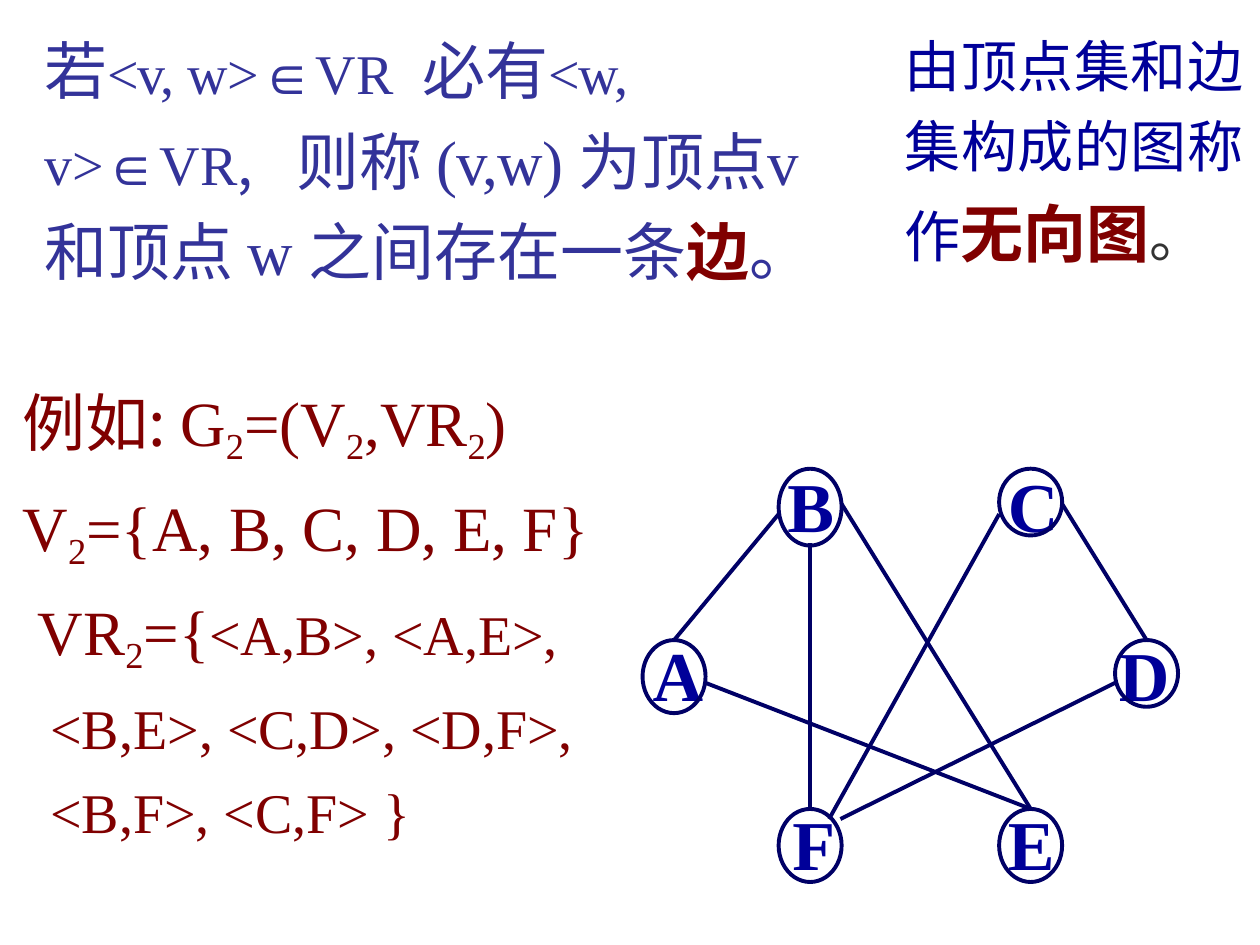
from lxml import etree
from pptx import Presentation
from pptx.dml.color import RGBColor
from pptx.enum import shapes, text
from pptx.oxml.ns import qn
from pptx.util import Inches, Pt

INDIGO = RGBColor(0x33, 0x33, 0x99)
BLUE = RGBColor(0x00, 0x00, 0x99)
NAVY = RGBColor(0x00, 0x00, 0x66)
MAROON = RGBColor(0x80, 0x00, 0x00)
GRAY = RGBColor(0x33, 0x33, 0x33)
CJK = "Noto Sans CJK SC"
ROMAN = "Times New Roman"
SYMBOL = "Arial"

# Vertex: oval left, top, height; label left, top, width
OVAL_WIDTH = 0.5
VERTICES = {
    "B": (6.18, 3.72, 0.61, 6.24, 3.66, 0.40),
    "C": (7.93, 3.72, 0.53, 7.99, 3.66, 0.43),
    "A": (5.10, 5.08, 0.58, 5.17, 5.00, 0.43),
    "D": (8.85, 5.08, 0.53, 8.87, 5.00, 0.43),
    "F": (6.18, 6.42, 0.58, 6.28, 6.34, 0.37),
    "E": (7.93, 6.42, 0.58, 7.99, 6.34, 0.40),
}
EDGES = [
    (6.18, 4.08, 5.35, 5.08),  # B-A
    (6.68, 4.00, 8.18, 6.42),  # B-E
    (5.60, 5.42, 8.18, 6.42),  # A-E
    (7.93, 4.08, 6.58, 6.50),  # C-F
    (8.43, 4.00, 9.10, 5.08),  # C-D
    (8.85, 5.42, 6.67, 6.50),  # D-F
    (6.43, 4.31, 6.43, 6.42),  # B-F
]


def add_text_box(slide, left, top, width, height):
    box = slide.shapes.add_textbox(Inches(left), Inches(top), Inches(width), Inches(height))
    frame = box.text_frame
    frame.word_wrap = True
    frame.auto_size = text.MSO_AUTO_SIZE.SHAPE_TO_FIT_TEXT
    frame.margin_left = frame.margin_right = frame.margin_bottom = 0
    frame.margin_top = Inches(0.01)
    return frame


def format_paragraph(paragraph, indent=0.01, line_spacing=1.0, before=0, tabs=()):
    properties = paragraph._p.get_or_add_pPr()
    properties.set("marL", str(Inches(indent)))
    properties.set("indent", "0")
    paragraph.line_spacing = line_spacing
    paragraph.space_before = Pt(before)
    if tabs:
        tab_list = etree.SubElement(properties, qn("a:tabLst"))
        for position in tabs:
            etree.SubElement(tab_list, qn("a:tab"), pos=str(Inches(position)), algn="l")


def add_run(paragraph, words, size, font, color, bold=False, spacing=0, subscript=False):
    run = paragraph.add_run()
    run.text = words
    run.font.size = Pt(size)
    run.font.bold = bold
    run.font.color.rgb = color
    run.font.name = font
    properties = run._r.get_or_add_rPr()
    etree.SubElement(properties, qn("a:ea"), typeface=font)
    if spacing:
        properties.set("spc", str(round(spacing * 100)))
    if subscript:
        properties.set("baseline", "-21000")


def add_formula(paragraph, formula):
    """Add Roman text in which each _ stands for a subscript 2."""
    for index, part in enumerate(formula.split("_")):
        if index:
            add_run(paragraph, "2", 36, ROMAN, MAROON, subscript=True)
        add_run(paragraph, part, 36, ROMAN, MAROON)


def add_edge_definition(slide):
    paragraph = add_text_box(slide, 0.34, 0.12, 6.35, 2.19).paragraphs[0]
    format_paragraph(paragraph, line_spacing=1.2, tabs=(1.98, 2.94))
    for words, size, font, spacing in [
        ("若", 36, CJK, 0), ("<v, ", 32, ROMAN, -0.7), ("w>", 32, ROMAN, 0),
        ("∈", 32, SYMBOL, 0), ("VR\t", 32, ROMAN, 0), ("必有", 36, CJK, 0),
        ("<w, ", 32, ROMAN, -0.7), ("v>", 32, ROMAN, 0), ("∈", 32, SYMBOL, 0),
        ("VR", 32, ROMAN, 0), (",\t", 32, CJK, 0), ("则称 ", 36, CJK, 0),
        ("(v,w) ", 36, ROMAN, -0.5), ("为顶点", 36, CJK, 0), ("v ", 36, ROMAN, 0),
        ("和顶点 ", 36, CJK, 0), ("w ", 36, ROMAN, 0), ("之间存在一条", 36, CJK, 0),
    ]:
        add_run(paragraph, words, size, font, INDIGO, spacing=spacing)
    add_run(paragraph, "边", 36, CJK, MAROON, bold=True)
    add_run(paragraph, "。", 36, CJK, INDIGO)


def add_graph_definition(slide):
    paragraph = add_text_box(slide, 7.17, 0.13, 2.7, 2.02).paragraphs[0]
    format_paragraph(paragraph, line_spacing=1.2)
    paragraph.alignment = text.PP_ALIGN.JUSTIFY
    add_run(paragraph, "由顶点集和边 集构成的图称 作", 32, CJK, BLUE)
    add_run(paragraph, "无向图", 36, CJK, MAROON, bold=True)
    add_run(paragraph, "。", 32, CJK, GRAY)


def add_example(slide):
    frame = add_text_box(slide, 0.14, 2.87, 4.75, 3.62)
    paragraph = frame.paragraphs[0]
    format_paragraph(paragraph, 0.04, 1.25)
    add_run(paragraph, "例如: ", 36, CJK, MAROON)
    add_formula(paragraph, "G_=(V_,VR_)")

    for formula, indent in [("V_={A, B, C, D, E, F}", 0.04), ("VR_={", 0.16)]:
        paragraph = frame.add_paragraph()
        format_paragraph(paragraph, indent, 1.25)
        add_formula(paragraph, formula)
    add_run(paragraph, "<A,B>, <A,E>,", 32, ROMAN, MAROON)

    for pairs, before in [("<B,E>, <C,D>, <D,F>,", 10.3), ("<B,F>, <C,F> }", 9.6)]:
        paragraph = frame.add_paragraph()
        format_paragraph(paragraph, 0.26, before=before)
        add_run(paragraph, pairs, 32, ROMAN, MAROON)


def style_line(shape):
    shape.line.color.rgb = NAVY
    shape.line.width = Pt(2.25)


def add_vertex(slide, name, left, top, height, label_left, label_top, label_width):
    paragraph = add_text_box(slide, label_left, label_top, label_width, 0.69).paragraphs[0]
    format_paragraph(paragraph)
    add_run(paragraph, name, 40, ROMAN, BLUE, bold=True)
    oval = slide.shapes.add_shape(shapes.MSO_SHAPE.OVAL, Inches(left), Inches(top),
                                  Inches(OVAL_WIDTH), Inches(height))
    oval.shadow.inherit = False
    oval.fill.background()
    style_line(oval)


def add_edge(slide, *ends):
    edge = slide.shapes.add_connector(shapes.MSO_CONNECTOR.STRAIGHT, *map(Inches, ends))
    style_line(edge)
    etree.SubElement(edge._element.spPr, qn("a:effectLst"))


def main():
    presentation = Presentation()
    presentation.slide_width = Inches(10)
    presentation.slide_height = Inches(7.5)
    slide = presentation.slides.add_slide(presentation.slide_layouts[6])
    add_edge_definition(slide)
    for name, placement in VERTICES.items():
        add_vertex(slide, name, *placement)
    for ends in EDGES:
        add_edge(slide, *ends)
    add_graph_definition(slide)
    add_example(slide)
    presentation.save("out.pptx")


if __name__ == "__main__":
    main()
